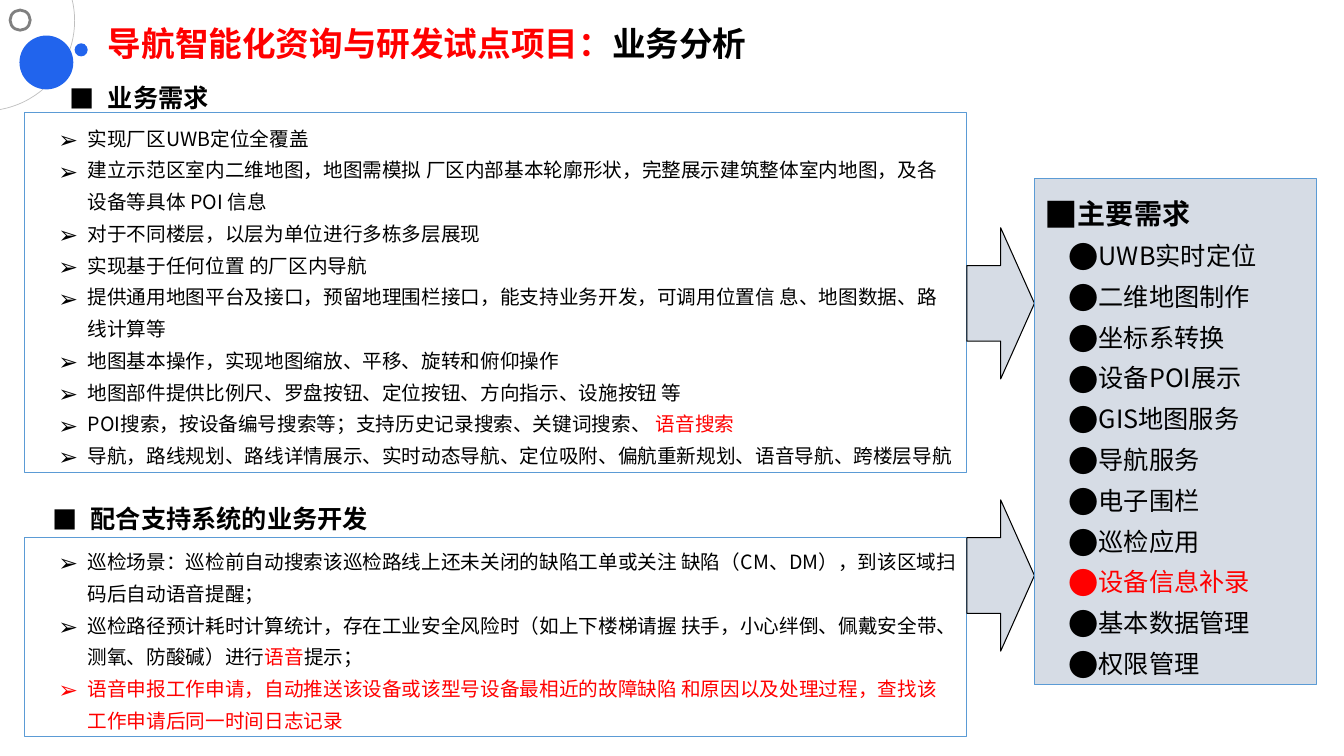
from pptx import Presentation
from pptx.dml.color import RGBColor
from pptx.enum.shapes import MSO_SHAPE as Shape
from pptx.enum.text import MSO_ANCHOR as Anchor, MSO_AUTO_SIZE as AutoSize, PP_ALIGN as Align
from pptx.oxml.ns import qn
from pptx.util import Inches, Pt
from lxml.etree import SubElement

FONT = "Noto Sans CJK SC"
BLACK, RED, BLUE = "000000", "FF0000", "2164ED"
BORDER, PANEL = "5B9BD5", "D6DCE5"

NEEDS = [
    "实现厂区UWB定位全覆盖",
    "建立示范区室内二维地图，地图需模拟 厂区内部基本轮廓形状，完整展示建筑整体室内地图，及各设备等具体 POI 信息",
    "对于不同楼层，以层为单位进行多栋多层展现",
    "实现基于任何位置 的厂区内导航",
    "提供通用地图平台及接口，预留地理围栏接口，能支持业务开发，可调用位置信 息、地图数据、路线计算等",
    "地图基本操作，实现地图缩放、平移、旋转和俯仰操作",
    "地图部件提供比例尺、罗盘按钮、定位按钮、方向指示、设施按钮 等",
    [("POI搜索，按设备编号搜索等；支持历史记录搜索、关键词搜索、 ", BLACK), ("语音搜索", RED)],
    "导航，路线规划、路线详情展示、实时动态导航、定位吸附、偏航重新规划、语音导航、跨楼层导航",
]
SUPPORT = [
    "巡检场景：巡检前自动搜索该巡检路线上还未关闭的缺陷工单或关注 缺陷（CM、DM），到该区域扫码后自动语音提醒；",
    [("巡检路径预计耗时计算统计，存在工业安全风险时（如上下楼梯请握 扶手，小心绊倒、佩戴安全带、测氧、防酸碱）进行", BLACK),
     ("语音", RED), ("提示；", BLACK)],
    [("语音申报工作申请，自动推送该设备或该型号设备最相近的故障缺陷 和原因以及处理过程，查找该工作申请后同一时间日志记录", RED)],
]
MAIN_NEEDS = [
    "UWB实时定位", "二维地图制作", "坐标系转换", "设备POI展示", "GIS地图服务", "导航服务",
    "电子围栏", "巡检应用", [("设备信息补录", RED)], "基本数据管理", "权限管理",
]


def color(value):
    return RGBColor.from_string(value)


def paint(shape, fill=None, line=None, width=0.75):
    if fill:
        shape.fill.solid()
        shape.fill.fore_color.rgb = color(fill)
    else:
        shape.fill.background()
    if line:
        shape.line.color.rgb = color(line)
        shape.line.width = Pt(width)
    else:
        shape.line.fill.background()


def add_figure(slide, kind, place, **look):
    shape = slide.shapes.add_shape(kind, *map(Inches, place))
    shape.shadow.inherit = False
    paint(shape, **look)
    return shape


def move(shape, place):
    shape.left, shape.top, shape.width, shape.height = map(Inches, place)


def prepare_frame(shape):
    frame = shape.text_frame
    frame.word_wrap = True
    frame.auto_size = AutoSize.NONE
    frame.vertical_anchor = Anchor.MIDDLE
    frame.margin_left = frame.margin_right = Inches(0.1)
    frame.margin_top = frame.margin_bottom = Inches(0.05)
    return frame


def set_bullet(para, mark, indent, hanging, percent):
    props = para._p.get_or_add_pPr()
    props.set("marL", str(Inches(indent)))
    props.set("indent", str(-Inches(hanging)))
    SubElement(props, qn("a:buSzPct"), val=str(percent * 1000))
    SubElement(props, qn("a:buFont"), typeface=FONT)
    SubElement(props, qn("a:buChar"), char=mark)


def write(frame, text, size=14, bold=False, align=Align.LEFT, level=0, spacing=1.0,
          mark=None, indent=0.53, hanging=0.29, percent=120):
    para = frame.paragraphs[0]
    if para.runs:
        para = frame.add_paragraph()
    para.alignment = align
    para.level = level
    para.line_spacing = spacing
    para.space_before = para.space_after = Pt(0)
    if mark:
        set_bullet(para, mark, indent, hanging, percent)
    for words, ink in [(text, BLACK)] if isinstance(text, str) else text:
        span = para.add_run()
        span.text = words
        span.font.name = FONT
        span.font.size = Pt(size)
        span.font.bold = bold
        span.font.color.rgb = color(ink)
        SubElement(span._r.get_or_add_rPr(), qn("a:ea"), typeface=FONT)


def write_list(frame, items, **style):
    for item in items:
        write(frame, item, spacing=1.35, **style)


def fill_section(heading, box, title, items, heading_place, box_place):
    move(heading, heading_place)
    write(prepare_frame(heading), title, size=18, bold=True, align=Align.JUSTIFY, level=1,
          spacing=1.5, mark="■", indent=0.38, hanging=0.38, percent=100)
    move(box, box_place)
    paint(box, line=BORDER)
    write_list(prepare_frame(box), items, mark="➢")


def add_corner_ornament(slide):
    arc = add_figure(slide, Shape.ARC, (-1.05, -0.69, 1.79, 1.79), line="BFBFBF", width=0.5)
    arc.adjustments[0] = 207.719
    arc.adjustments[1] = 48.598
    add_figure(slide, Shape.OVAL, (0.2, 0.36, 0.52, 0.52), fill=BLUE, line=BLUE, width=1)
    add_figure(slide, Shape.OVAL, (0.74, 0.43, 0.13, 0.13), fill=BLUE)
    add_figure(slide, Shape.OVAL, (0.1, 0.1, 0.2, 0.2), line="808080", width=2)


def add_main_needs(slide):
    panel = add_figure(slide, Shape.RECTANGLE, (10.26, 1.77, 2.8, 5.02), fill=PANEL, line=BORDER)
    frame = prepare_frame(panel)
    write(frame, "主要需求", size=20, bold=True, spacing=1.35, mark="■", indent=0.29)
    write_list(frame, MAIN_NEEDS, size=18, mark="●")


def main():
    deck = Presentation()
    deck.slide_width, deck.slide_height = Inches(13.33), Inches(7.5)
    slide = deck.slides.add_slide(deck.slide_layouts.get_by_name("Comparison"))
    title, needs_heading, needs_box, support_heading, support_box = slide.placeholders

    add_corner_ornament(slide)
    move(title, (0.97, 0.18, 10.63, 0.5))
    write(prepare_frame(title), [("导航智能化资询与研发试点项目：", RED), ("业务分析", BLACK)],
          size=24, bold=True)
    fill_section(needs_heading, needs_box, "业务需求", NEEDS,
                 (0.59, 0.64, 8.82, 0.51), (0.24, 1.12, 9.35, 3.57))
    fill_section(support_heading, support_box, "配合支持系统的业务开发", SUPPORT,
                 (0.42, 4.81, 8.82, 0.51), (0.24, 5.33, 9.35, 1.98))
    for top in (2.26, 4.96):
        add_figure(slide, Shape.RIGHT_ARROW, (9.59, top, 0.67, 1.5), fill=PANEL, line=BLACK)
    add_main_needs(slide)
    deck.save("out.pptx")


if __name__ == "__main__":
    main()
